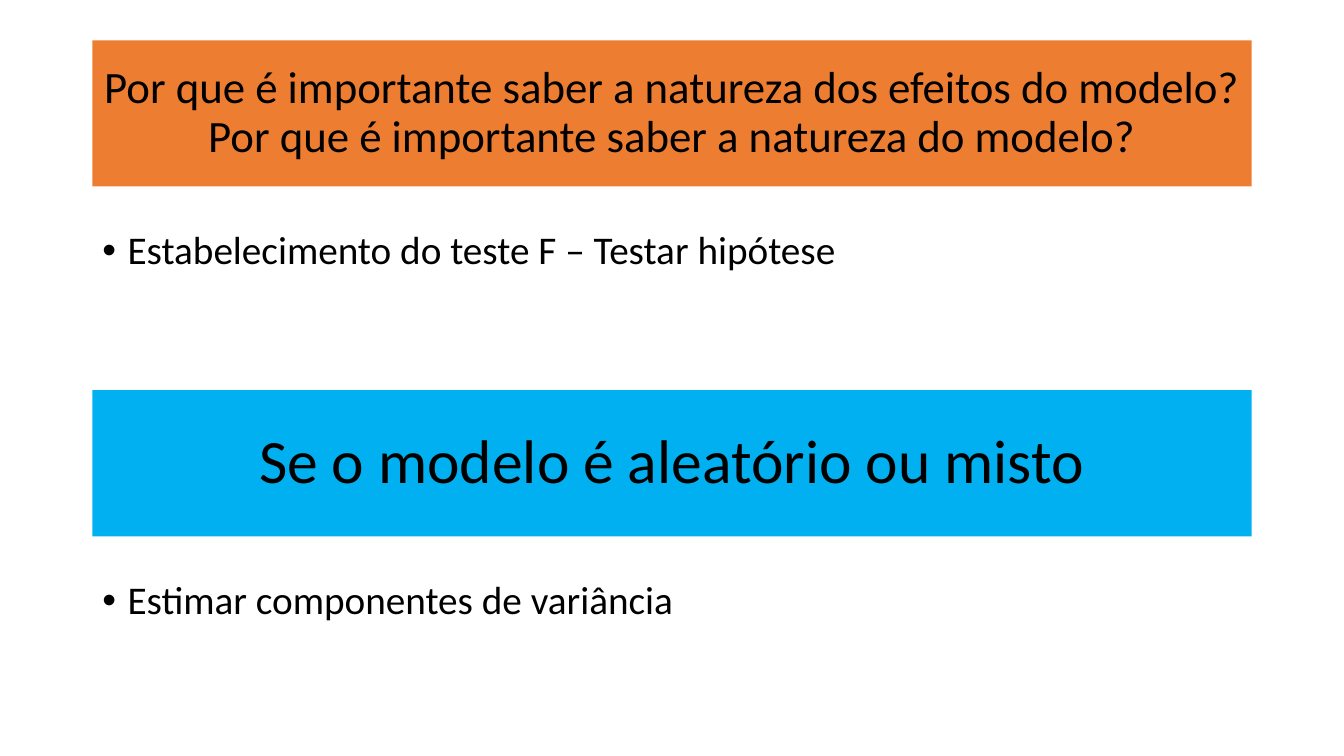
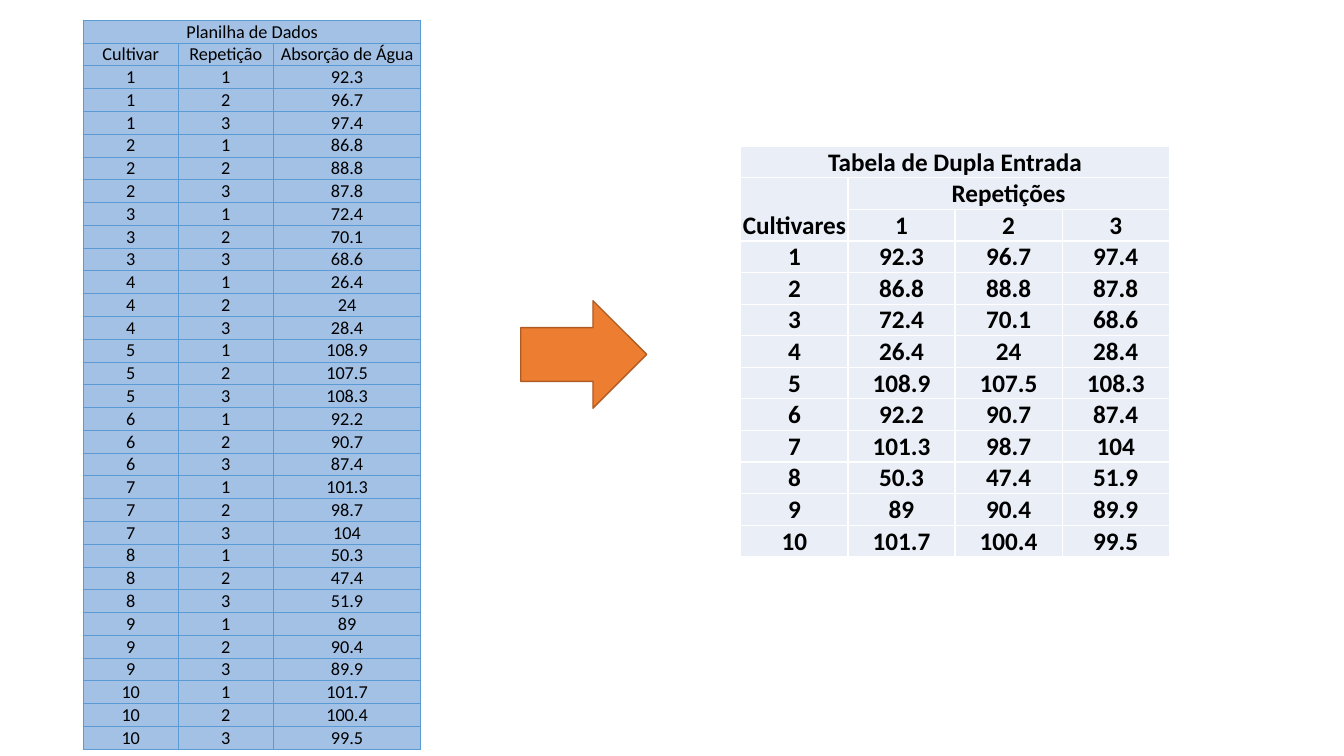
from dataclasses import dataclass
from itertools import product

from pptx import Presentation
from pptx.dml.color import RGBColor as Rgb
from pptx.enum.shapes import MSO_SHAPE as Shape
from pptx.enum.text import MSO_ANCHOR as Anchor, MSO_AUTO_SIZE as Fit, PP_ALIGN as Align
from pptx.oxml.ns import qn
from pptx.util import Inches, Pt
from lxml.etree import SubElement as Sub

COLS, ROWS = 160, 90  # grid laid over the slide


@dataclass(frozen=True)
class Theme:
    font: str = "Calibri"
    ink: str = "000000"
    orange: str = "ED7D31"
    edge: str = "AF5C24"
    cyan: str = "00B0F0"
    sheet: str = "A3C1E5"
    rule: str = "5B9BD5"
    pale: str = "EAEFF7"
    white: str = "FFFFFF"
    head: int = 32
    big: int = 44
    body: int = 28
    cell: int = 18
    small: int = 13
    lead: float = 0.9


class Deck:
    """Holds the theme and the current slide."""

    def __init__(self, theme):
        self.theme = theme
        self.prs = Presentation()
        self.prs.slide_width, self.prs.slide_height = Inches(13.33), Inches(7.5)

    def start(self, titled):
        layout = self.prs.slide_layouts[5 if titled else 6]
        self.slide = self.prs.slides.add_slide(layout)

    def box(self, left, top, wide, high):
        """Turn grid columns and rows into lengths."""
        col, row = self.prs.slide_width / COLS, self.prs.slide_height / ROWS
        return [int(n) for n in (left * col, top * row, wide * col, high * row)]

    def run(self, para, text, size, bold=False):
        run = para.add_run()
        run.text = text
        font = run.font
        font.name, font.size, font.bold = self.theme.font, Pt(size), bold
        font.color.rgb = Rgb.from_string(self.theme.ink)

    def paint(self, shape, fill, line=None):
        shape.fill.solid()
        shape.fill.fore_color.rgb = Rgb.from_string(fill)
        if line:
            shape.line.color.rgb = Rgb.from_string(line)
            shape.line.width = Pt(1)
        else:
            shape.line.fill.background()

    def add(self, kind, area, fill, line=None):
        shape = self.slide.shapes.add_shape(kind, *self.box(*area))
        shape.shadow.inherit = False
        self.paint(shape, fill, line)
        return shape

    def label(self, shape, lines, size):
        """Centre lines of text in a filled band."""
        frame = shape.text_frame
        frame.word_wrap, frame.auto_size = True, Fit.NONE
        frame.vertical_anchor = Anchor.MIDDLE
        para = frame.paragraphs[0]
        para.alignment, para.line_spacing = Align.CENTER, self.theme.lead
        for i, line in enumerate(lines):
            if i:
                para.add_line_break()
            self.run(para, line, size)

    def title(self, area, lines, fill):
        shape = self.slide.shapes.title
        shape.left, shape.top, shape.width, shape.height = self.box(*area)
        self.paint(shape, fill)
        self.label(shape, lines, self.theme.head)

    def band(self, area, text, fill):
        self.label(self.add(Shape.RECTANGLE, area, fill), [text], self.theme.big)

    def bullet(self, area, text):
        frame = self.slide.shapes.add_textbox(*self.box(*area)).text_frame
        frame.word_wrap = True
        para = frame.paragraphs[0]
        props = para._p.get_or_add_pPr()
        props.set("marL", str(Inches(0.25)))
        props.set("indent", str(-Inches(0.25)))
        Sub(props, qn("a:buFont"), typeface="Arial")
        Sub(props, qn("a:buChar"), char="•")
        para.line_spacing = self.theme.lead
        self.run(para, text, self.theme.body)

    def border(self, cell, color, width):
        props = cell._tc.get_or_add_tcPr()
        for side in "LRTB":
            line = Sub(props, qn(f"a:ln{side}"), w=str(Pt(width)))
            Sub(Sub(line, qn("a:solidFill")), qn("a:srgbClr"), val=color)

    def table(self, area, data, parts, spans, fill, rule, size,
              bold=False, anchor=Anchor.BOTTOM, pad=0.4):
        """Draw rows of text; parts are the relative column widths."""
        place = self.box(*area)
        grid = self.slide.shapes.add_table(len(data), len(parts), *place).table
        grid.first_row = grid.horz_banding = False
        for col, part in zip(grid.columns, parts):
            col.width = int(place[2] * part / sum(parts))
        for row in grid.rows:
            row.height = place[3] // len(data)
        for r, c in product(range(len(data)), range(len(parts))):
            cell = grid.cell(r, c)
            self.border(cell, *rule)
            cell.fill.solid()
            cell.fill.fore_color.rgb = Rgb.from_string(fill)
            cell.margin_left = cell.margin_right = Inches(0.01)
            cell.margin_top, cell.margin_bottom = Pt(pad), 0
            cell.vertical_anchor = anchor
            para = cell.text_frame.paragraphs[0]
            para.alignment = Align.CENTER
            if data[r][c]:
                self.run(para, data[r][c], size, bold)
        for r, c, down, right in spans:
            grid.cell(r, c).merge(grid.cell(down, right))
        return grid


# Water uptake: one row per cultivar, one value per repetition
UPTAKE = [
    ("92.3", "96.7", "97.4"), ("86.8", "88.8", "87.8"),
    ("72.4", "70.1", "68.6"), ("26.4", "24", "28.4"),
    ("108.9", "107.5", "108.3"), ("92.2", "90.7", "87.4"),
    ("101.3", "98.7", "104"), ("50.3", "47.4", "51.9"),
    ("89", "90.4", "89.9"), ("101.7", "100.4", "99.5"),
]


def reasons(deck):
    """Slide 1: two bands, each with a bullet below."""
    look = deck.theme
    left, top, wide, high = 11, 4.8, 138, 17.4
    step, drop = 41.65, 22.1
    deck.start(titled=True)
    deck.title((left, top, wide, high), [
        "Por que é importante saber a natureza dos efeitos do modelo?",
        "Por que é importante saber a natureza do modelo?"], look.orange)
    deck.band((left, top + step, wide, high),
              "Se o modelo é aleatório ou misto", look.cyan)
    points = ["Estabelecimento do teste F – Testar hipótese",
              "Estimar componentes de variância"]
    for i, text in enumerate(points):
        deck.bullet((left, top + i * step + drop, wide, 6.8), text)


def tables(deck):
    """Slide 2: the long sheet becomes a two-way table."""
    look = deck.theme
    deck.start(titled=False)

    # Long data sheet
    sheet = [("Planilha de Dados", "", ""),
             ("Cultivar", "Repetição", "Absorção de Água")]
    sheet += [(str(i), str(j), value)
              for i, values in enumerate(UPTAKE, 1)
              for j, value in enumerate(values, 1)]
    deck.table((9.9, 2.4, 40.2, 86.9), sheet, (0.94, 0.94, 1.46),
               [(0, 0, 0, 2)], look.sheet, (look.rule, 0.5), look.small)

    # Arrow between the tables
    deck.add(Shape.RIGHT_ARROW, (62, 35.8, 15, 12.8), look.orange, look.edge)

    # Two-way table
    cross = [("Tabela de Dupla Entrada", "", "", ""),
             ("Cultivares", "Repetições", "", ""), ("", "1", "2", "3")]
    cross += [(str(i), *values) for i, values in enumerate(UPTAKE, 1)]
    spans = [(0, 0, 0, 3), (1, 0, 2, 0), (1, 1, 1, 3)]
    grid = deck.table((88.2, 17.4, 51, 48.9), cross, (1, 1, 1, 1), spans,
                      look.pale, (look.white, 1), look.cell,
                      bold=True, anchor=Anchor.MIDDLE, pad=0.6)
    grid.cell(1, 0).vertical_anchor = Anchor.BOTTOM


def main():
    deck = Deck(Theme())
    reasons(deck)
    tables(deck)
    deck.prs.save("out.pptx")


if __name__ == "__main__":
    main()
